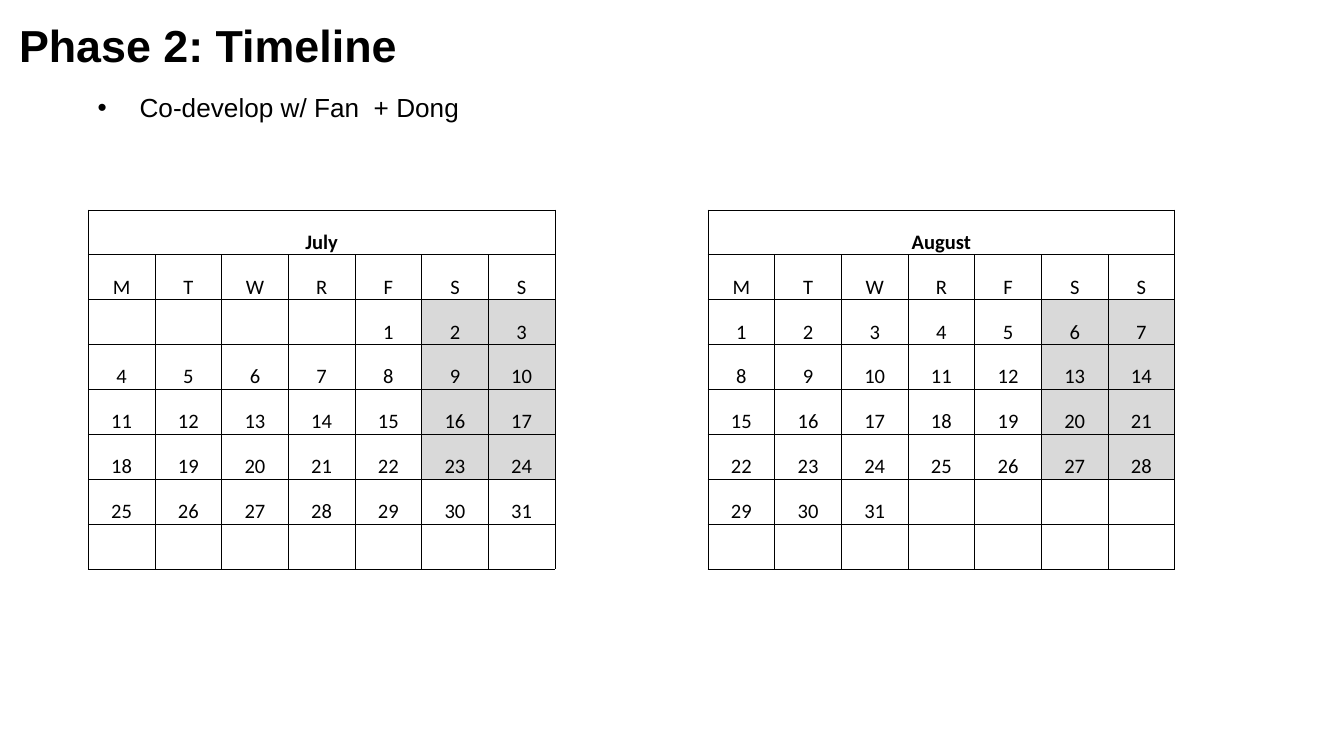
from dataclasses import dataclass

from lxml import etree
from pptx import Presentation
from pptx.dml.color import RGBColor
from pptx.enum import text
from pptx.oxml import ns
from pptx.util import Pt

BLACK = "000000"
WEEKEND_GRAY = "D9D9D9"
WEEKDAYS = "MTWRFSS"
DAY_COUNT = len(WEEKDAYS)
WEEK_COUNT = 6
SHADED_WEEKS = 4
ROW_COUNT = WEEK_COUNT + 2
GAP_COLUMN = DAY_COUNT
DAY_WIDTH, GAP_WIDTH, ROW_HEIGHT = 35.72, 82, 24.05


@dataclass
class Month:
    name: str
    first_column: int
    first_weekday: int
    days: int


MONTHS = [Month("July", 0, 4, 31), Month("August", GAP_COLUMN + 1, 0, 31)]


def color(value: str) -> RGBColor:
    return RGBColor.from_string(value)


def set_font(paragraph, name: str, size: float, bold: bool = False) -> None:
    paragraph.font.name = name
    paragraph.font.size = Pt(size)
    paragraph.font.bold = bold
    paragraph.font.color.rgb = color(BLACK)


def place(shape, left: float, top: float, width: float, height: float) -> None:
    shape.left, shape.top = Pt(left), Pt(top)
    shape.width, shape.height = Pt(width), Pt(height)


def set_borders(cell, visible_sides: str) -> None:
    properties = cell._tc.get_or_add_tcPr()
    for side in "LRTB":
        line = etree.SubElement(properties, ns.qn(f"a:ln{side}"), w=str(Pt(0.5)))
        if side in visible_sides:
            fill = etree.SubElement(line, ns.qn("a:solidFill"))
            etree.SubElement(fill, ns.qn("a:srgbClr"), val=BLACK)
        else:
            etree.SubElement(line, ns.qn("a:noFill"))


def format_cell(cell, visible_sides: str) -> None:
    set_borders(cell, visible_sides)
    cell.fill.background()
    cell.vertical_anchor = text.MSO_ANCHOR.BOTTOM
    cell.margin_left = cell.margin_right = cell.margin_top = Pt(0.7)
    cell.margin_bottom = Pt(0)


def write_cell(cell, content: str, bold: bool = False) -> None:
    cell.text_frame.text = content
    paragraph = cell.text_frame.paragraphs[0]
    paragraph.alignment = text.PP_ALIGN.CENTER
    set_font(paragraph, "Calibri", 11, bold)


def fill_month(table, month: Month) -> None:
    # Month name across the week
    header = table.cell(0, month.first_column)
    header.merge(table.cell(0, month.first_column + DAY_COUNT - 1))
    write_cell(header, month.name, bold=True)

    # Weekday letters and shaded weekends
    for weekday, letter in enumerate(WEEKDAYS):
        column = month.first_column + weekday
        write_cell(table.cell(1, column), letter)
        if weekday >= 5:
            for week in range(SHADED_WEEKS):
                fill = table.cell(week + 2, column).fill
                fill.solid()
                fill.fore_color.rgb = color(WEEKEND_GRAY)

    # Dates
    for day in range(1, month.days + 1):
        week, weekday = divmod(month.first_weekday + day - 1, DAY_COUNT)
        write_cell(table.cell(week + 2, month.first_column + weekday), str(day))


def add_calendar(slide) -> None:
    column_count = 2 * DAY_COUNT + 1
    frame = slide.shapes.add_table(
        ROW_COUNT, column_count, Pt(47.3), Pt(112.5),
        Pt(2 * DAY_COUNT * DAY_WIDTH + GAP_WIDTH), Pt(ROW_COUNT * ROW_HEIGHT))
    table = frame.table
    table.first_row = table.horz_banding = False
    for row in table.rows:
        row.height = Pt(ROW_HEIGHT)
    for index, column in enumerate(table.columns):
        is_gap = index == GAP_COLUMN
        column.width = Pt(GAP_WIDTH if is_gap else DAY_WIDTH)
        for row_index in range(ROW_COUNT):
            format_cell(table.cell(row_index, index), "LR" if is_gap else "LRTB")
    for month in MONTHS:
        fill_month(table, month)


def add_title(slide) -> None:
    title = slide.shapes.title
    place(title, 3, 4.4, 671, 41)
    frame = title.text_frame
    frame.text = "Phase 2: Timeline"
    frame.auto_size = text.MSO_AUTO_SIZE.NONE
    frame.vertical_anchor = text.MSO_ANCHOR.BOTTOM
    frame.margin_left = frame.margin_right = Pt(7.2)
    frame.margin_top = frame.margin_bottom = Pt(7.2)
    paragraph = frame.paragraphs[0]
    paragraph.alignment = text.PP_ALIGN.LEFT
    set_font(paragraph, "Arial", 24, bold=True)


def add_bullet_note(slide) -> None:
    box = slide.shapes.add_textbox(Pt(45.2), Pt(45.6), Pt(421), Pt(24.2))
    frame = box.text_frame
    frame.word_wrap = True
    frame.text = "Co-develop w/ Fan  + Dong"
    paragraph = frame.paragraphs[0]
    set_font(paragraph, "Arial", 14)
    properties = paragraph._p.get_or_add_pPr()
    properties.set("marL", str(Pt(22.5)))
    properties.set("indent", str(Pt(-22.5)))
    bullet_font = etree.Element(ns.qn("a:buFont"), typeface="Arial")
    bullet = etree.Element(ns.qn("a:buChar"), char="•")
    properties.insert(0, bullet_font)
    properties.insert(1, bullet)


def main() -> None:
    presentation = Presentation()
    presentation.slide_width, presentation.slide_height = Pt(720), Pt(405)
    slide = presentation.slides.add_slide(presentation.slide_layouts[5])
    add_title(slide)
    add_calendar(slide)
    add_bullet_note(slide)
    presentation.save("out.pptx")


if __name__ == "__main__":
    main()
